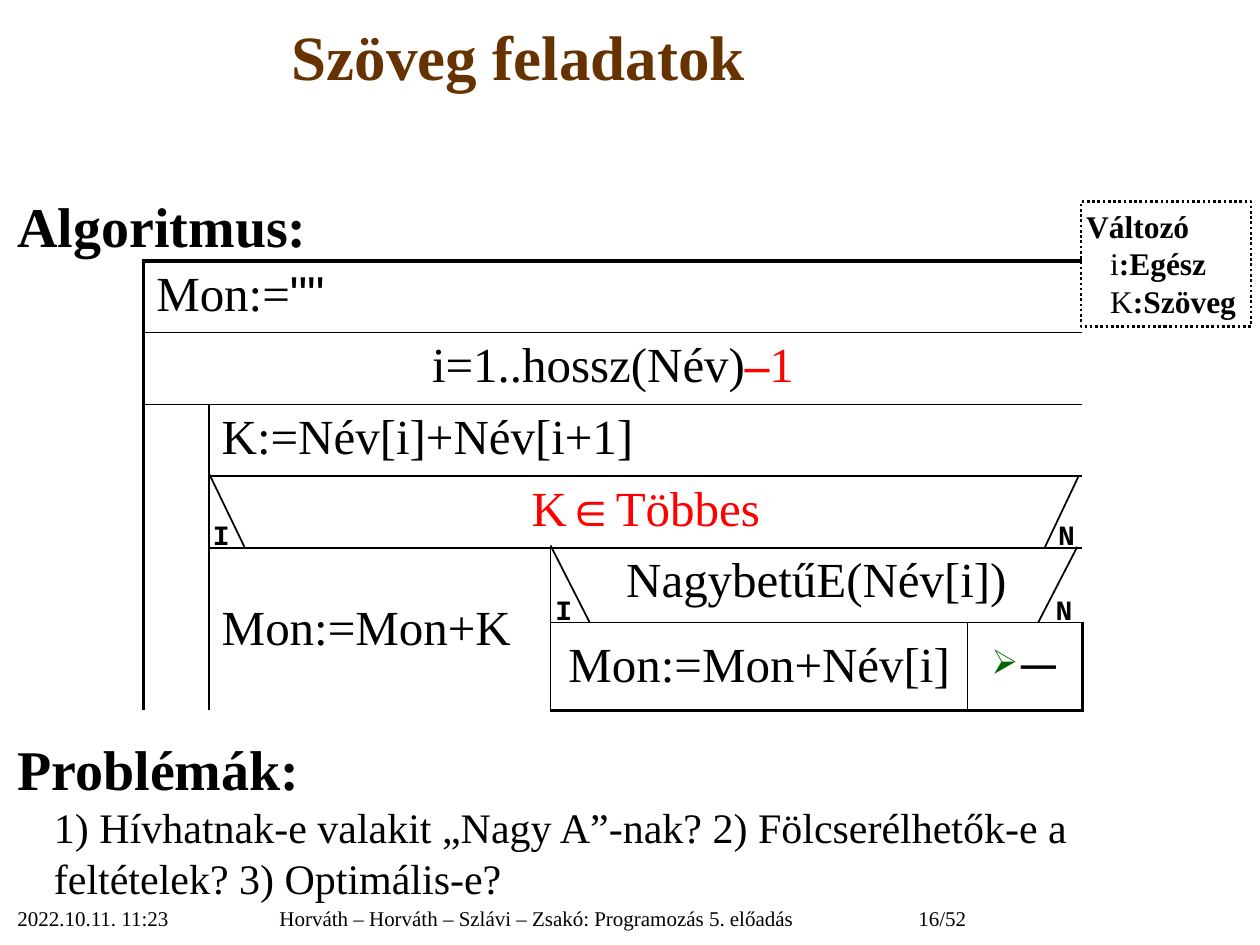
from lxml import etree
from pptx import Presentation
from pptx.dml.color import RGBColor
from pptx.enum.dml import MSO_LINE
from pptx.enum.shapes import MSO_CONNECTOR, MSO_SHAPE
from pptx.enum.text import MSO_ANCHOR, PP_ALIGN
from pptx.oxml.ns import qn
from pptx.util import Inches, Pt

LEFT, CENTER = PP_ALIGN.LEFT, PP_ALIGN.CENTER
TOP, MIDDLE = MSO_ANCHOR.TOP, MSO_ANCHOR.MIDDLE
DOTTED = MSO_LINE.ROUND_DOT
STRAIGHT, RECT = MSO_CONNECTOR.STRAIGHT, MSO_SHAPE.RECTANGLE
SERIF, MONO, SANS = "Times New Roman", "Courier New", "Arial"
COLORS = {"title": "663300", "text": "000000", "accent": "FF0000",
          "bullet": "006600", "paper": "FFFFFF"}
NO_STYLE = "{2D5ABB26-0587-4C30-8999-92F81FD0307C}"
THIN, THICK = 1, 2.25


def rgb(name):
    return RGBColor.from_string(COLORS[name])


class SlideBuilder:
    """Holds the current slide and the default text style."""

    def __init__(self, slide, font=SERIF, color="text"):
        self.s, self.font, self.color = slide, font, color

    def add_runs(self, p, runs, size, align=LEFT, bold=False, margin=0):
        """Fill a paragraph; each run is (text, overrides of font, color and bold)."""
        p.alignment = align
        if margin:
            pPr = p._p.get_or_add_pPr()
            pPr.set("marL", str(Inches(margin)))
            pPr.set("indent", "0")
        for text, style in runs:
            r = p.add_run()
            r.text = text
            r.font.size = Pt(size)
            r.font.name = style.get("font", self.font)
            r.font.bold = style.get("bold", bold)
            r.font.color.rgb = rgb(style.get("color", self.color))

    def text(self, at, text, size, wrap=True, font=SERIF, color="text", **style):
        tf = self.s.shapes.add_textbox(*map(Inches, at)).text_frame
        tf.word_wrap = wrap
        self.add_runs(tf.paragraphs[0], [(text, {"font": font, "color": color})],
                      size, **style)
        return tf

    def line(self, x1, y1, x2, y2):
        c = self.s.shapes.add_connector(STRAIGHT, *map(Inches, (x1, y1, x2, y2)))
        c.line.color.rgb = rgb("text")
        c.line.width = Pt(THIN)
        etree.SubElement(c._element.spPr, qn("a:effectLst"))

    def dotted_box(self, at, size, lines):
        """Dotted frame; each line is (runs, left margin)."""
        sp = self.s.shapes.add_shape(RECT, *map(Inches, at))
        sp.shadow.inherit = False
        sp.fill.background()
        sp.line.color.rgb = rgb("text")
        sp.line.width = Pt(1.5)
        sp.line.dash_style = DOTTED
        tf = sp.text_frame
        tf.word_wrap = True
        tf.vertical_anchor = TOP
        tf.margin_left = tf.margin_right = Inches(0.04)
        tf.margin_top = tf.margin_bottom = Inches(0.04)
        for i, (runs, margin) in enumerate(lines):
            p = tf.add_paragraph() if i else tf.paragraphs[0]
            self.add_runs(p, runs, size, margin=margin)

    def border(self, cell, side, width):
        ln = etree.SubElement(cell._tc.get_or_add_tcPr(), qn("a:ln" + side),
                              w=str(Pt(width)))
        fill = etree.SubElement(ln, qn("a:solidFill"))
        etree.SubElement(fill, qn("a:srgbClr"), val=COLORS["text"])

    def structogram(self, x, y, cols, rows, blocks, size):
        """Blocks are (row, col, row span, col span, runs, align, anchor, open side)."""
        frame = self.s.shapes.add_table(len(rows), len(cols), *map(
            Inches, (x, y, sum(cols), sum(rows))))
        table = frame.table
        table.first_row = table.horz_banding = False
        tblPr = table._tbl.tblPr
        tblPr.find(qn("a:tableStyleId")).text = NO_STYLE
        for col, width in zip(table.columns, cols):
            col.width = Inches(width)
        for row, height in zip(table.rows, rows):
            row.height = Inches(height)
        for r, c, high, wide, runs, align, anchor, open_side in blocks:
            first, last = table.cell(r, c), table.cell(r + high - 1, c + wide - 1)
            if high * wide > 1:
                first.merge(last)
            for i in range(r, r + high):
                for j in range(c, c + wide):
                    cell = table.cell(i, j)
                    edges = [("L", j == c, j == 0),
                             ("R", j == c + wide - 1, j == len(cols) - 1),
                             ("T", i == r, i == 0),
                             ("B", i == r + high - 1, i == len(rows) - 1)]
                    for side, at_edge, outer in edges:
                        if at_edge and side != open_side:
                            self.border(cell, side, THICK if outer else THIN)
                    cell.fill.solid()
                    cell.fill.fore_color.rgb = rgb("paper")
            first.vertical_anchor = anchor
            self.add_runs(first.text_frame.paragraphs[0], runs, size, align)
        return table

    def bullet(self, p, char, percent, color):
        pPr = p._p.get_or_add_pPr()
        clr = etree.SubElement(pPr, qn("a:buClr"))
        etree.SubElement(clr, qn("a:srgbClr"), val=COLORS[color])
        etree.SubElement(pPr, qn("a:buSzPct"), val=str(percent * 1000))
        etree.SubElement(pPr, qn("a:buChar"), char=char)


def main():
    prs = Presentation()
    prs.slide_width, prs.slide_height = Inches(10), Inches(7.5)
    b = SlideBuilder(prs.slides.add_slide(prs.slide_layouts[6]))

    b.text((0, 0.09, 8.23, 1.22), "Szöveg feladatok", 36, color="title",
           align=CENTER, bold=True)
    b.text((0.04, 1.47, 4, 0.6), "Algoritmus:", 32, bold=True)
    tf = b.text((0.04, 5.78, 9.77, 1.36), "Problémák:", 32, bold=True)
    b.add_runs(tf.add_paragraph(),
               [("1) Hívhatnak-e valakit „Nagy A”-nak? 2) Fölcserélhetők-e a "
                 "feltételek? 3) Optimális-e?", {})], 24, margin=0.29)

    red = {"color": "accent"}
    blocks = [
        (0, 0, 1, 4, [("Mon:=", {}), ('""', {"font": SANS})], LEFT, TOP, None),
        (1, 0, 1, 4, [("i=1..hossz(Név)", {}), ("–", {**red, "bold": True}),
                      ("1", red)], CENTER, TOP, "B"),
        (2, 0, 4, 1, [], LEFT, TOP, "T"),
        (2, 1, 1, 3, [("K:=Név[i]+Név[i+1]", {})], LEFT, TOP, None),
        (3, 1, 1, 3, [("K∈Többes", red)], CENTER, TOP, None),
        (4, 1, 2, 1, [("Mon:=Mon+K", {})], LEFT, MIDDLE, None),
        (4, 2, 1, 2, [("NagybetűE(Név[i])", {})], CENTER, TOP, None),
        (5, 2, 1, 1, [("Mon:=Mon+Név[i]", {})], CENTER, MIDDLE, None),
        (5, 3, 1, 1, [("─", {})], CENTER, MIDDLE, None),
    ]
    table = b.structogram(1.14, 2.07, [0.52, 2.71, 3.31, 0.91],
                          [0.57] * 4 + [0.59, 0.7], blocks, 28)
    b.bullet(table.cell(5, 3).text_frame.paragraphs[0], "➢", 70, "bullet")

    for diagonal in [(1.66, 3.76, 1.94, 4.34), (4.37, 4.33, 4.68, 4.94),
                     (8.56, 3.78, 8.29, 4.35), (8.55, 4.34, 8.24, 4.94)]:
        b.line(*diagonal)
    for branch, x, y in [("I", 4.31, 4.65), ("N", 8.28, 4.65),
                         ("I", 1.59, 4.06), ("N", 8.3, 4.06)]:
        b.text((x, y, 0.32, 0.37), branch, 16, wrap=False, font=MONO,
               align=CENTER, bold=True)

    strong = {"bold": True}
    b.dotted_box((8.58, 1.6, 1.35, 0.99), 18, [
        ([("Változó", strong)], 0),
        ([("i", {}), (":Egész", strong)], 0.19),
        ([("K", {}), (":Szöveg", strong)], 0.19)])

    for x, width, footer in [
            (0.04, 2.08, "2022.10.11. 11:23"),
            (2.12, 5.07, "Horváth – Horváth – Szlávi – Zsakó: Programozás 5. előadás"),
            (7.19, 1.27, "16/52")]:
        b.text((x, 7.14, width, 0.36), footer, 12)

    prs.save("out.pptx")


if __name__ == "__main__":
    main()
